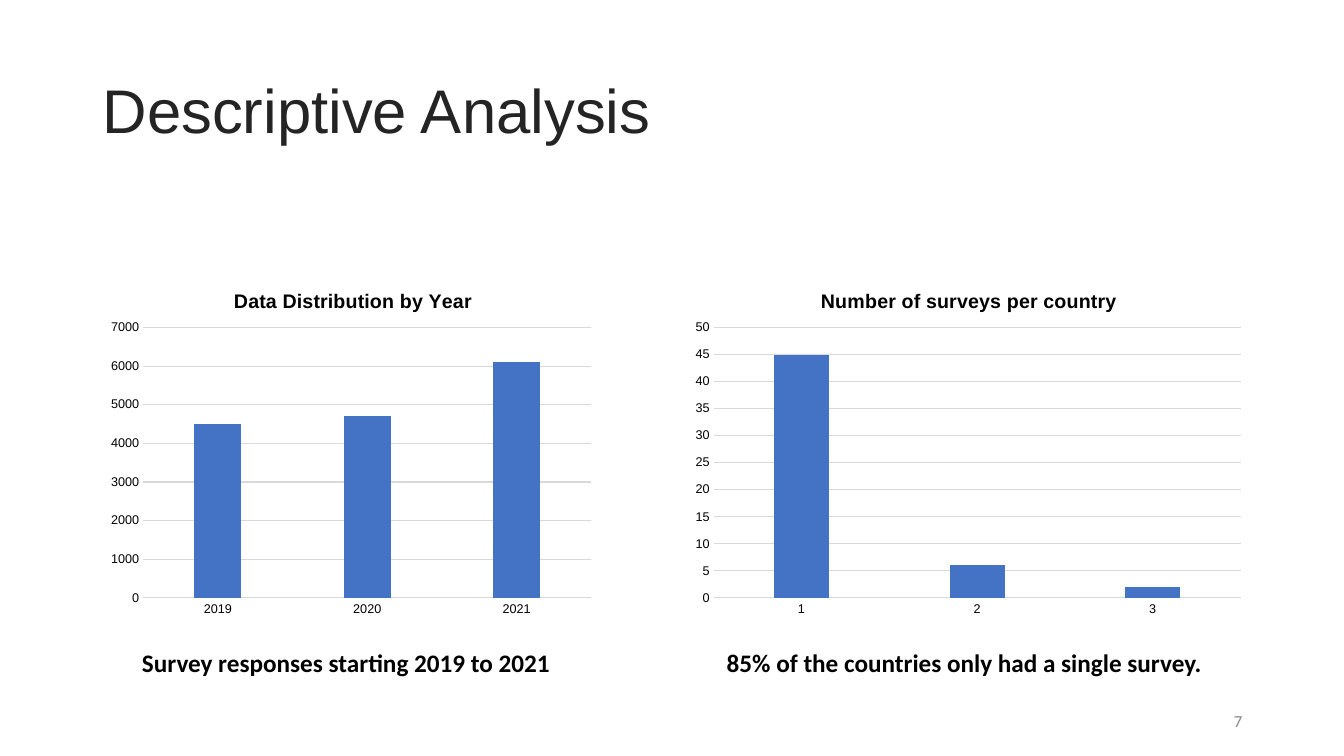
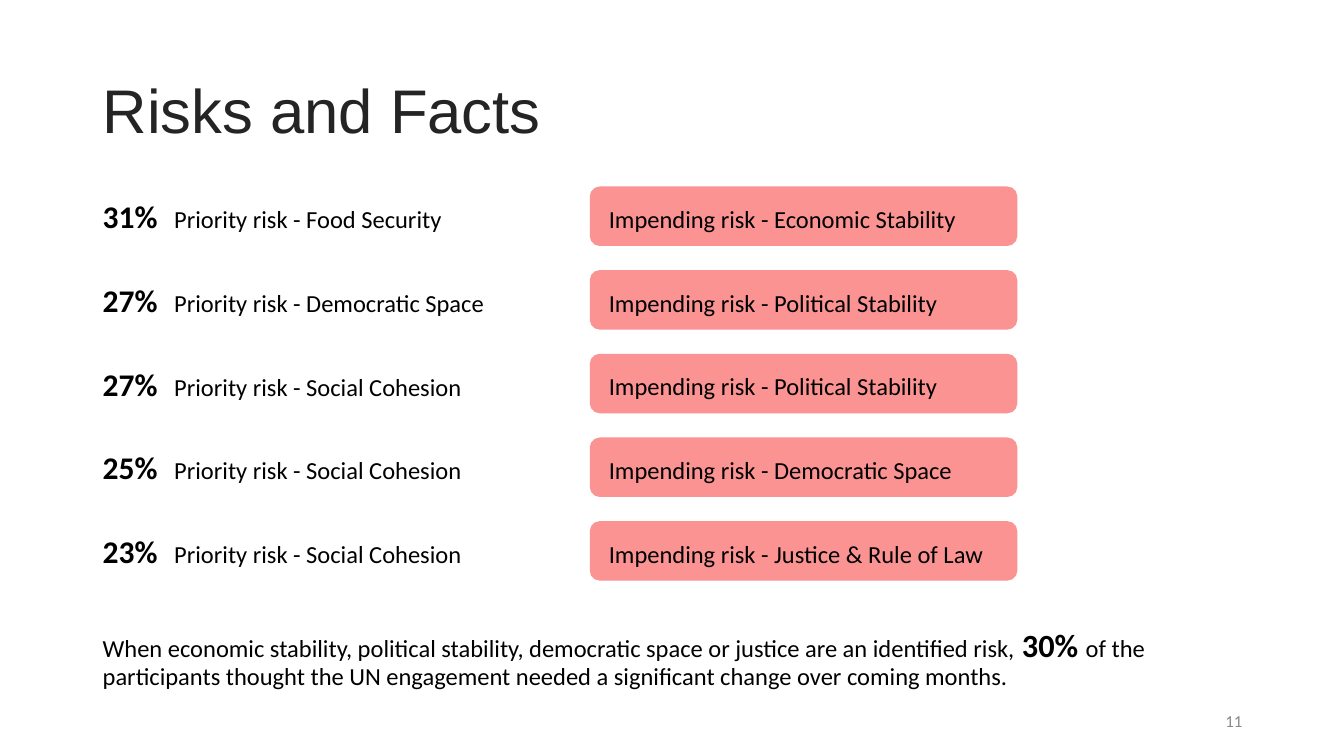
from lxml import etree
from pptx import Presentation
from pptx.chart.data import CategoryChartData
from pptx.dml.color import RGBColor
from pptx.enum.chart import XL_CHART_TYPE, XL_TICK_MARK
from pptx.enum.shapes import MSO_SHAPE
from pptx.enum.text import MSO_ANCHOR, PP_ALIGN
from pptx.oxml.ns import qn
from pptx.util import Inches, Pt

COLUMN = XL_CHART_TYPE.COLUMN_CLUSTERED
NO_TICK = XL_TICK_MARK.NONE
ROUND = MSO_SHAPE.ROUNDED_RECTANGLE
MIDDLE, TOP = MSO_ANCHOR.MIDDLE, MSO_ANCHOR.TOP
LEFT, RIGHT = PP_ALIGN.LEFT, PP_ALIGN.RIGHT

# Shared look
WIDE, HIGH = 13.33, 7.5
EDGE, SPAN = 0.92, 11.5
INK, BLACK, GREY = "242424", "000000", "888888"
BLUE, RULE, ROSE = "4472C4", "D9D9D9", "FB9393"


def paint(code):
    return RGBColor.from_string(code)


def write(frame, parts, size, face="Calibri", tone=BLACK, bold=False,
          align=LEFT, anchor=MIDDLE, lead=1.0):
    """Fill a frame with one paragraph; a (text, size) part is bold."""
    frame.word_wrap = True
    frame.vertical_anchor = anchor
    para = frame.paragraphs[0]
    para.alignment, para.line_spacing = align, lead
    font = para.font
    font.name, font.size, font.bold = face, Pt(size), bold
    font.color.rgb = paint(tone)
    for part in parts:
        run = para.add_run()
        if isinstance(part, tuple):
            run.text = part[0]
            run.font.size, run.font.bold = Pt(part[1]), True
        else:
            run.text = part
    return para


deck = Presentation()
deck.slide_width, deck.slide_height = Inches(WIDE), Inches(HIGH)

# Slides with title and page number
pages = []
for title, number in (("Descriptive Analysis", "7"), ("Risks and Facts", "11")):
    page = deck.slides.add_slide(deck.slide_layouts[6])
    box = page.shapes.add_textbox(
        Inches(EDGE), Inches(0.4), Inches(SPAN), Inches(1.45))
    write(box.text_frame, [title], 44, "Arial", INK, lead=0.9)
    box = page.shapes.add_textbox(
        Inches(EDGE + SPAN - 3), Inches(6.95), Inches(3), Inches(0.4))
    write(box.text_frame, [number], 12, tone=GREY, align=RIGHT)
    pages.append(page)
stats, risks = pages

# Two column charts: left, width, names, values, top, step,
# title, title place, plot left and width as shares, caption
charts = (
    (1, 4.94, ("2019", "2020", "2021"), (4500, 4700, 6100), 7000, 1000,
     "Data Distribution by Year", 0.26, 0.085, 0.9,
     "Survey responses starting 2019 to 2021"),
    (6.8, 5.56, ("1", "2", "3"), (45, 6, 2), 50, 5,
     "Number of surveys per country", 0.235, 0.05, 0.94,
     "85% of the countries only had a single survey."),
)
for (left, width, names, values, peak, step, title, start, inset, share,
     caption) in charts:
    data = CategoryChartData()
    data.categories = names
    data.add_series("Series 1", values)
    chart = stats.shapes.add_chart(
        COLUMN, Inches(left), Inches(2.65), Inches(width), Inches(3.53),
        data).chart
    chart.has_legend = False
    chart.font.name, chart.font.size = "Arial", Pt(10)
    chart.font.color.rgb = paint(BLACK)
    write(chart.chart_title.text_frame, [title], 14, "Arial", bold=True)

    plot = chart.plots[0]
    plot.gap_width, plot.overlap, plot.vary_by_categories = 219, -27, False
    fill = plot.series[0].format.fill
    fill.solid()
    fill.fore_color.rgb = paint(BLUE)

    base, scale = chart.category_axis, chart.value_axis
    for axis in (base, scale):
        axis.major_tick_mark = axis.minor_tick_mark = NO_TICK
        axis.tick_labels.font.size = Pt(9)
    scale.minimum_scale, scale.maximum_scale = 0, peak
    scale.major_unit = step
    scale.format.line.fill.background()
    for line in (base.format.line, scale.major_gridlines.format.line):
        line.color.rgb = paint(RULE)
        line.width = Pt(0.75)

    # Fixed places for the title and the plot
    area = chart._chartSpace.chart.plotArea
    for node, spot, pins in (
            (chart.chart_title._element, 1,
             (("xMode", "edge"), ("yMode", "edge"), ("x", start), ("y", 0.05))),
            (area, 0,
             (("layoutTarget", "inner"), ("xMode", "edge"), ("yMode", "edge"),
              ("x", inset), ("y", 0.17), ("w", share), ("h", 0.76)))):
        for old in node.findall(qn("c:layout")):
            node.remove(old)
        layout = etree.Element(qn("c:layout"))
        node.insert(spot, layout)
        manual = etree.SubElement(layout, qn("c:manualLayout"))
        for key, value in pins:
            etree.SubElement(manual, qn("c:" + key)).set("val", str(value))

    box = stats.shapes.add_textbox(
        Inches(left + 0.31), Inches(6.37), Inches(5.56), Inches(0.4))
    write(box.text_frame, [caption], 18, bold=True, anchor=TOP)

# Rows of priority and impending risks
rows = (
    ("31%", "Food Security", "Economic Stability"),
    ("27%", "Democratic Space", "Political Stability"),
    ("27%", "Social Cohesion", "Political Stability"),
    ("25%", "Social Cohesion", "Democratic Space"),
    ("23%", "Social Cohesion", "Justice & Rule of Law"),
)
FIRST, PITCH, TALL = 1.85, 0.83, 0.59
for index, (rate, now, soon) in enumerate(rows):
    top = Inches(FIRST + index * PITCH)
    box = risks.shapes.add_textbox(
        Inches(EDGE), top, Inches(4.8), Inches(TALL))
    para = write(box.text_frame, [(rate, 22.5), "\tPriority risk - " + now], 17.5)
    tabs = etree.SubElement(para._p.get_or_add_pPr(), qn("a:tabLst"))
    tab = etree.SubElement(tabs, qn("a:tab"))
    tab.set("pos", str(Inches(0.71)))
    tab.set("algn", "l")
    props = para._p.pPr
    props.insert_element_before(tabs, "a:defRPr", "a:extLst")

    pill = risks.shapes.add_shape(
        ROUND, Inches(5.85), top, Inches(4.24), Inches(TALL))
    pill.shadow.inherit = False
    pill.fill.solid()
    pill.fill.fore_color.rgb = paint(ROSE)
    pill.line.fill.background()
    frame = pill.text_frame
    frame.margin_left, frame.margin_top = Inches(0.16), Inches(0.1)
    write(frame, ["Impending risk - " + soon], 17.5)

# Closing finding
box = risks.shapes.add_textbox(
    Inches(EDGE), Inches(6.2), Inches(SPAN), Inches(0.75))
write(box.text_frame, [
    "When economic stability, political stability, democratic space or "
    "justice are an identified risk, ",
    ("30% ", 23.1),
    "of the participants thought the UN engagement needed a significant "
    "change over coming months."], 17.5, anchor=TOP, lead=0.9)

deck.save("out.pptx")
